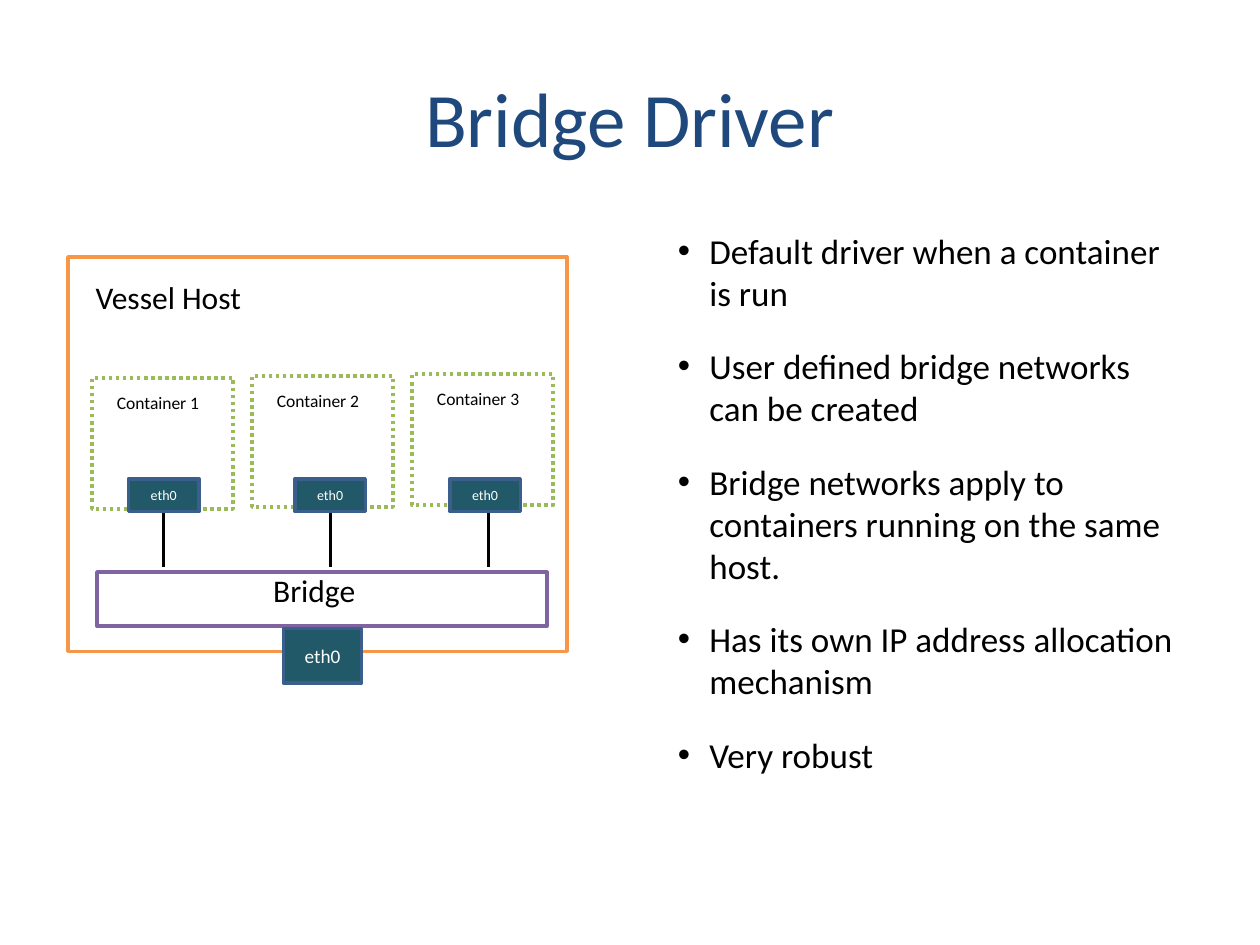
"""Builds the Bridge Driver slide: a container host diagram beside five bullet points."""
import pptx
import pptx.dml.color
import pptx.enum.dml
import pptx.enum.shapes
import pptx.enum.text
import pptx.util
from lxml import etree

TITLE = "Bridge Driver"
POINTS = [
    "Default driver when a container is run",
    "User defined bridge networks can be created",
    "Bridge networks apply to containers running on the same host.",
    "Has its own IP address allocation mechanism",
    "Very robust",
]
HOST, BRIDGE, PORT = "Vessel Host", "Bridge", "eth0"
CONTAINERS = [("Container 1", 1.02, 1.3), ("Container 2", 2.34, 2.62), ("Container 3", 3.57, 3.88)]
COLORS = {
    "title": "1F497D", "text": "000000", "port text": "FFFFFF", "host": "F79646",
    "bridge": "8064A2", "container": "9BBB59", "port": "215968", "port edge": "3A5F8C",
}
FONT = "Calibri"
WIDTH, HEIGHT = 10, 7.5
FIRST_LEFT, FIRST_TOP, STEP, RISE = 0.73, 3, 1.27, 0.015
PORT_TOP, PORT_WIDTH, PORT_HEIGHT = 3.8, 0.56, 0.26
LINK_TOP, LINK_BOTTOM = 4.04, 4.5

Inches, Pt = pptx.util.Inches, pptx.util.Pt
ALIGN, ANCHOR = pptx.enum.text.PP_ALIGN, pptx.enum.text.MSO_ANCHOR


def color(name):
    return pptx.dml.color.RGBColor.from_string(COLORS[name])


def write(paragraph, words, size, ink="text", align=ALIGN.LEFT):
    paragraph.alignment = align
    run = paragraph.add_run()
    run.text = words
    run.font.name, run.font.size = FONT, Pt(size)
    run.font.color.rgb = color(ink)


def add_frame(slide, box, margins=(0.1, 0.05), wrap=True):
    frame = slide.shapes.add_textbox(*map(Inches, box)).text_frame
    frame.word_wrap = wrap
    frame.margin_left = frame.margin_right = Inches(margins[0])
    frame.margin_top = frame.margin_bottom = Inches(margins[1])
    return frame


def add_label(slide, box, words, size):
    frame = add_frame(slide, box, wrap=False)
    frame.auto_size = pptx.enum.text.MSO_AUTO_SIZE.SHAPE_TO_FIT_TEXT
    write(frame.paragraphs[0], words, size)


def add_box(slide, box, edge, fill=None, dash=None):
    rect = slide.shapes.add_shape(pptx.enum.shapes.MSO_SHAPE.RECTANGLE, *map(Inches, box))
    rect.shadow.inherit = False
    if fill:
        rect.fill.solid()
        rect.fill.fore_color.rgb = color(fill)
    else:
        rect.fill.background()
    rect.line.color.rgb = color(edge)
    rect.line.width = Pt(2)
    if dash:
        rect.line.dash_style = dash
    return rect


def add_port(slide, box, size):
    frame = add_box(slide, box, "port edge", "port").text_frame
    frame.vertical_anchor = ANCHOR.MIDDLE
    write(frame.paragraphs[0], PORT, size, "port text", ALIGN.CENTER)


def add_link(slide, x):
    ends = map(Inches, (x, LINK_TOP, x, LINK_BOTTOM))
    link = slide.shapes.add_connector(pptx.enum.shapes.MSO_CONNECTOR.STRAIGHT, *ends)
    link.line.color.rgb = color("text")
    link.line.width = Pt(1.75)
    etree.SubElement(link._element.spPr, pptx.oxml.ns.qn("a:effectLst"))


def add_points(slide):
    frame = add_frame(slide, (5.25, 1.75, 4.25, 4.95), (0.13, 0.07))
    for index, point in enumerate(POINTS):
        paragraph = frame.add_paragraph() if index else frame.paragraphs[0]
        write(paragraph, point, 20)
        paragraph.space_before = Pt(18 if index else 4)
        properties = paragraph._p.get_or_add_pPr()
        properties.set("marL", str(Inches(0.25)))
        properties.set("indent", str(Inches(-0.25)))
        etree.SubElement(properties, pptx.oxml.ns.qn("a:buFont")).set("typeface", "Arial")
        etree.SubElement(properties, pptx.oxml.ns.qn("a:buChar")).set("char", "•")


def add_diagram(slide):
    add_box(slide, (0.54, 2.04, 3.96, 3.13), "host")
    add_box(slide, (0.77, 4.54, 3.57, 0.43), "bridge")
    add_label(slide, (0.66, 2.16, 1.45, 0.4), HOST, 18)
    add_label(slide, (2.07, 4.48, 0.86, 0.4), BRIDGE, 18)
    for index, (container, port_left, link_x) in enumerate(CONTAINERS):
        left, top = FIRST_LEFT + index * STEP, FIRST_TOP - index * RISE
        add_box(slide, (left, top, 1.12, 1.04), "container",
                dash=pptx.enum.dml.MSO_LINE.ROUND_DOT)
        add_label(slide, (left + 0.1, top + 0.06, 0.87, 0.27), container, 10)
        add_link(slide, link_x)
        add_port(slide, (port_left, PORT_TOP, PORT_WIDTH, PORT_HEIGHT), 8)
    add_port(slide, (2.25, 4.99, 0.62, 0.43), 11)


def main():
    deck = pptx.Presentation()
    deck.slide_width, deck.slide_height = Inches(WIDTH), Inches(HEIGHT)
    slide = deck.slides.add_slide(deck.slide_layouts[6])
    heading = add_frame(slide, (0.5, 0.3, 9, 1.25), (0.13, 0.07))
    heading.vertical_anchor = ANCHOR.MIDDLE
    write(heading.paragraphs[0], TITLE, 44, "title", ALIGN.CENTER)
    add_points(slide)
    add_diagram(slide)
    deck.save("out.pptx")


if __name__ == "__main__":
    main()
